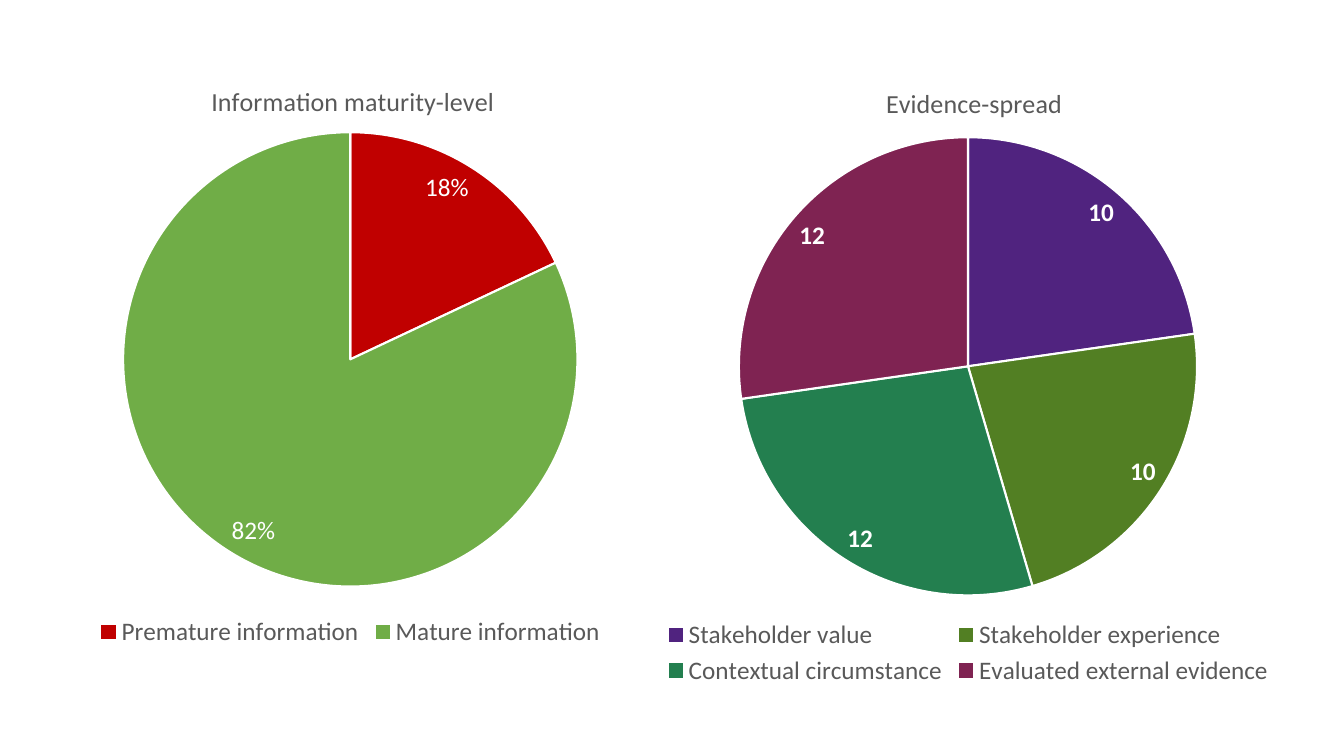
from lxml import etree
from pptx import Presentation
from pptx.chart.data import CategoryChartData
from pptx.dml.color import RGBColor
from pptx.enum.chart import XL_CHART_TYPE, XL_LABEL_POSITION, XL_LEGEND_POSITION
from pptx.oxml import parse_xml
from pptx.oxml.ns import nsdecls, qn
from pptx.util import Pt

PIE = XL_CHART_TYPE.PIE
INSIDE_END = XL_LABEL_POSITION.INSIDE_END
BOTTOM = XL_LEGEND_POSITION.BOTTOM


def color(value):
    return RGBColor.from_string(value)


def place(element, position, **fractions):
    layout = element.find(qn("c:layout"))
    if layout is None:
        layout = etree.Element(qn("c:layout"))
        element.insert(position, layout)
    manual = etree.SubElement(layout, qn("c:manualLayout"))
    for name, value in fractions.items():
        etree.SubElement(manual, qn(f"c:{name}"), val=str(value))


class PieSlide:
    font_name = "Calibri"
    text_color = "595959"
    white = "FFFFFF"

    def __init__(self, presentation):
        self.slide = presentation.slides.add_slide(presentation.slide_layouts[6])

    def style_font(self, font, size, font_color, bold=False):
        font.name = self.font_name
        font.size = Pt(size)
        font.bold = bold
        font.color.rgb = color(font_color)

    def add_title(self, chart, text, x, y):
        chart.has_title = True
        title = chart.chart_title
        title.include_in_layout = False
        paragraph = title.text_frame.paragraphs[0]
        paragraph.text = text
        self.style_font(paragraph.font, 18.6, self.text_color)
        place(title.element, 1, xMode="edge", yMode="edge", x=x, y=y)

    def add_legend(self, chart):
        chart.has_legend = True
        chart.legend.position = BOTTOM
        chart.legend.include_in_layout = False
        self.style_font(chart.legend.font, 18, self.text_color)

    def add_labels(self, plot, number_format, bold):
        plot.has_data_labels = True
        labels = plot.data_labels
        labels.show_value = True
        labels.show_percentage = False
        labels.number_format = number_format
        labels.number_format_is_linked = False
        labels.position = INSIDE_END
        self.style_font(labels.font, 18, self.white, bold)

    def add_pie(self, title, title_at, box, pie_box, slices, number_format="0", bold=False):
        data = CategoryChartData()
        data.categories = [name for name, _, _ in slices]
        data.add_series("Series 1", [value for _, value, _ in slices])
        chart = self.slide.shapes.add_chart(PIE, *map(Pt, box), data).chart
        self.style_font(chart.font, 10, "000000")
        chart_element = chart.element.chart
        chart_element.addnext(parse_xml(
            f'<c:spPr {nsdecls("c", "a")}><a:noFill/><a:ln><a:noFill/></a:ln></c:spPr>'))

        self.add_title(chart, title, *title_at)
        self.add_legend(chart)
        plot = chart.plots[0]
        plot.vary_by_categories = True
        self.add_labels(plot, number_format, bold)
        for index, (_, _, fill_color) in enumerate(slices):
            point_format = plot.series[0].points[index].format
            point_format.fill.solid()
            point_format.fill.fore_color.rgb = color(fill_color)
            point_format.line.color.rgb = color(self.white)
            point_format.line.width = Pt(1.5)

        x, y, width, height = pie_box
        place(chart_element.plotArea, 0, layoutTarget="inner", xMode="edge",
              yMode="edge", x=x, y=y, w=width, h=height)


def main():
    presentation = Presentation()
    presentation.slide_width = Pt(960)
    presentation.slide_height = Pt(540)
    pies = PieSlide(presentation)
    pies.add_pie(
        "Evidence-spread", (0.38, 0.04), (433.5, 39, 516, 454.5), (0.18, 0.13, 0.64, 0.72),
        [("Stakeholder value", 10, "50237F"),
         ("Stakeholder experience", 10, "527F23"),
         ("Contextual circumstance", 12, "237F4F"),
         ("Evaluated external evidence", 12, "7F2352")],
        bold=True)
    pies.add_pie(
        "Information maturity-level", (0.28, 0.04), (17, 39, 466.5, 427), (0.15, 0.13, 0.7, 0.76),
        [("Premature information", 18, "C00000"),
         ("Mature information", 82, "70AD47")],
        number_format='0"%"')
    presentation.save("out.pptx")


if __name__ == "__main__":
    main()
